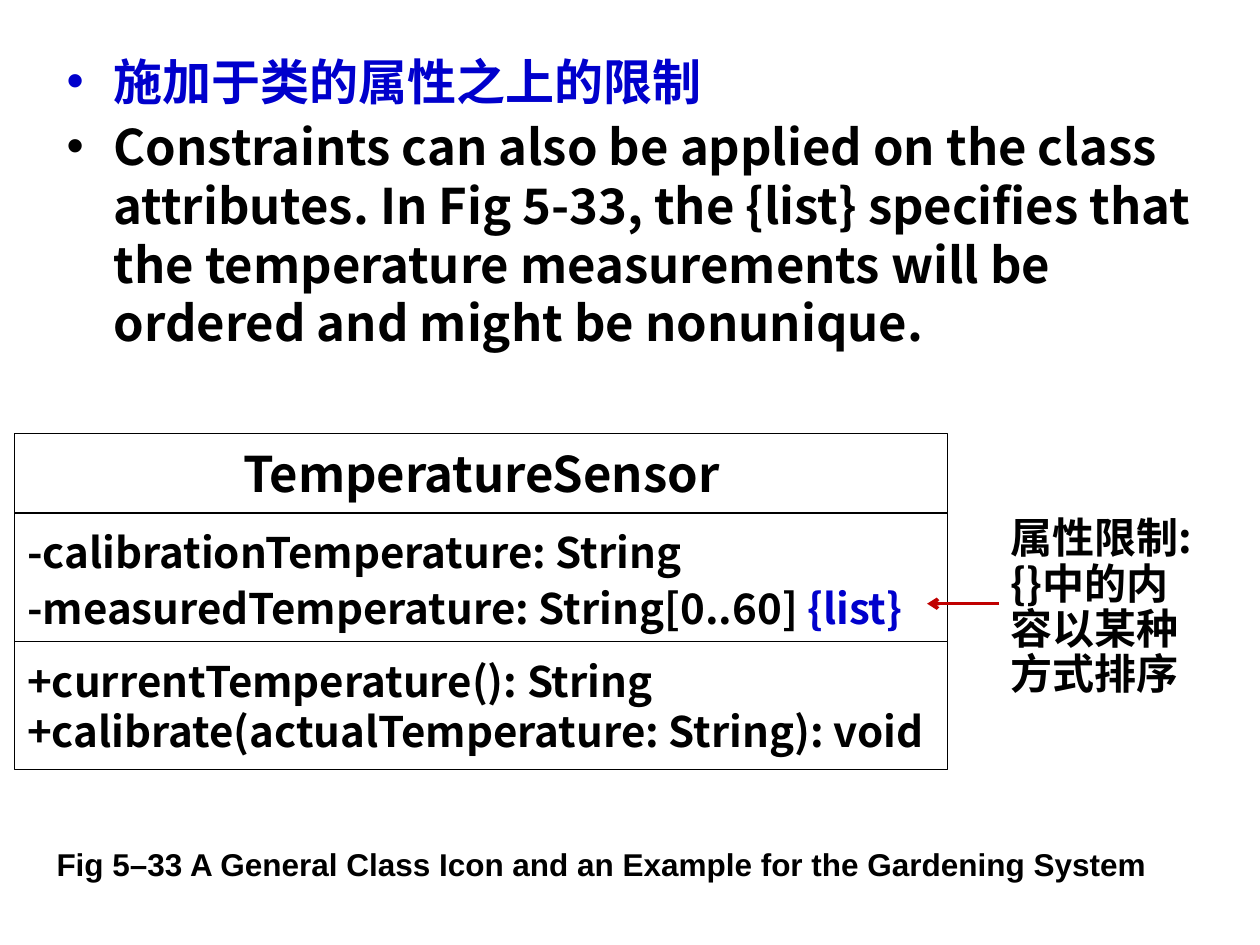
from dataclasses import dataclass

from lxml import etree
from pptx import Presentation
from pptx import util as u
from pptx.dml.color import RGBColor
from pptx.enum import shapes, text
from pptx.oxml import ns

COLORS = {"ink": "000000", "accent": "0000CC", "paper": "FFFFFF", "arrow": "C00000"}
CJK = "Noto Sans CJK SC"


@dataclass
class Line:
    content: str
    color: str = "ink"
    tail: str = ""


@dataclass
class Style:
    size: int = 24
    face: str = CJK
    spacing: float = 1.0
    align: text.PP_ALIGN = text.PP_ALIGN.LEFT


@dataclass
class Compartment:
    height: float
    lines: list[Line]
    style: Style
    padding: float = 0.13


def rgb(name: str) -> RGBColor:
    return RGBColor.from_string(COLORS[name])


def add_child(parent, tag: str, **attributes: str):
    return etree.SubElement(parent, ns.qn(tag), attributes)


def add_bullet(paragraph, color: str) -> None:
    properties = paragraph._p.get_or_add_pPr()
    properties.set("marL", str(u.Cm(0.95)))
    properties.set("indent", str(u.Cm(-0.95)))
    add_child(add_child(properties, "a:buClr"), "a:srgbClr", val=COLORS[color])
    add_child(properties, "a:buFont", typeface="Arial")
    add_child(properties, "a:buChar", char="•")


def write_lines(frame, lines: list[Line], style: Style, bulleted: bool = False) -> None:
    for index, line in enumerate(lines):
        paragraph = frame.add_paragraph() if index else frame.paragraphs[0]
        paragraph.alignment = style.align
        paragraph.line_spacing = style.spacing
        paragraph.space_before = u.Pt(3.5 if bulleted and index else 0)
        if bulleted:
            add_bullet(paragraph, line.color)
        font = paragraph.font
        font.size = u.Pt(style.size)
        font.bold = True
        font.color.rgb = rgb(line.color)
        font.name = style.face
        add_child(font._element, "a:ea", typeface=style.face)
        paragraph.add_run().text = line.content
        if line.tail:
            tail = paragraph.add_run()
            tail.text = line.tail
            tail.font.color.rgb = rgb("accent")


def add_compartment(slide, top: float, part: Compartment) -> None:
    box = slide.shapes.add_shape(
        shapes.MSO_SHAPE.RECTANGLE, u.Cm(0.3), u.Cm(top), u.Cm(18.8), u.Cm(part.height)
    )
    box.shadow.inherit = False
    box.fill.solid()
    box.fill.fore_color.rgb = rgb("paper")
    box.line.color.rgb = rgb("ink")
    box.line.width = u.Pt(0.75)
    frame = box.text_frame
    frame.word_wrap = False
    frame.vertical_anchor = text.MSO_ANCHOR.MIDDLE
    frame.margin_top = frame.margin_bottom = u.Cm(part.padding)
    write_lines(frame, part.lines, part.style)


def add_label(slide, left: float, top: float, width: float, height: float,
              lines: list[Line], style: Style) -> None:
    label = slide.shapes.add_textbox(u.Cm(left), u.Cm(top), u.Cm(width), u.Cm(height))
    label.text_frame.word_wrap = True
    write_lines(label.text_frame, lines, style)


def add_arrow(slide, start: float, end: float, level: float) -> None:
    arrow = slide.shapes.add_connector(
        shapes.MSO_CONNECTOR.STRAIGHT, u.Cm(start), u.Cm(level), u.Cm(end), u.Cm(level)
    )
    arrow.line.color.rgb = rgb("arrow")
    arrow.line.width = u.Pt(2)
    add_child(arrow.line._get_or_add_ln(), "a:tailEnd", type="arrow")
    add_child(arrow._element.spPr, "a:effectLst")


def main() -> None:
    deck = Presentation()
    deck.slide_width, deck.slide_height = u.Cm(25.4), u.Cm(19.05)
    slide = deck.slides.add_slide(deck.slide_layouts[1])
    unused_title = slide.shapes.title._element
    unused_title.getparent().remove(unused_title)

    explanation = slide.placeholders[1]
    explanation.left, explanation.top = u.Cm(1.09), u.Cm(0.91)
    explanation.width, explanation.height = u.Cm(23.62), u.Cm(6.4)
    explanation.text_frame.auto_size = text.MSO_AUTO_SIZE.NONE
    write_lines(explanation.text_frame, [
        Line("施加于类的属性之上的限制", "accent"),
        Line("Constraints can also be applied on the class attributes. "
             "In Fig 5-33, the {list} specifies that the temperature "
             "measurements will be ordered and might be nonunique."),
    ], Style(28), bulleted=True)

    class_icon = [
        Compartment(1.6, [Line("TemperatureSensor")],
                    Style(28, align=text.PP_ALIGN.CENTER)),
        Compartment(2.59, [
            Line("-calibrationTemperature: String"),
            Line("-measuredTemperature: String[0..60] ", tail="{list}"),
        ], Style(spacing=1.1), padding=0.23),
        Compartment(2.59, [
            Line("+currentTemperature(): String"),
            Line("+calibrate(actualTemperature: String): void"),
        ], Style()),
    ]
    top = 8.74
    for part in class_icon:
        add_compartment(slide, top, part)
        top += part.height

    add_label(slide, 0.89, 16.92, 23.01, 1.02,
              [Line("Fig 5–33 A General Class Icon and an Example for the Gardening System")],
              Style(18, "Arial"))
    add_label(slide, 20.12, 10.31, 4.39, 3.91,
              [Line("属性限制:"), Line("{}中的内容以某种方式排序")], Style(spacing=0.9))
    add_arrow(slide, 20.14, 18.69, 12.17)

    deck.save("out.pptx")


if __name__ == "__main__":
    main()
